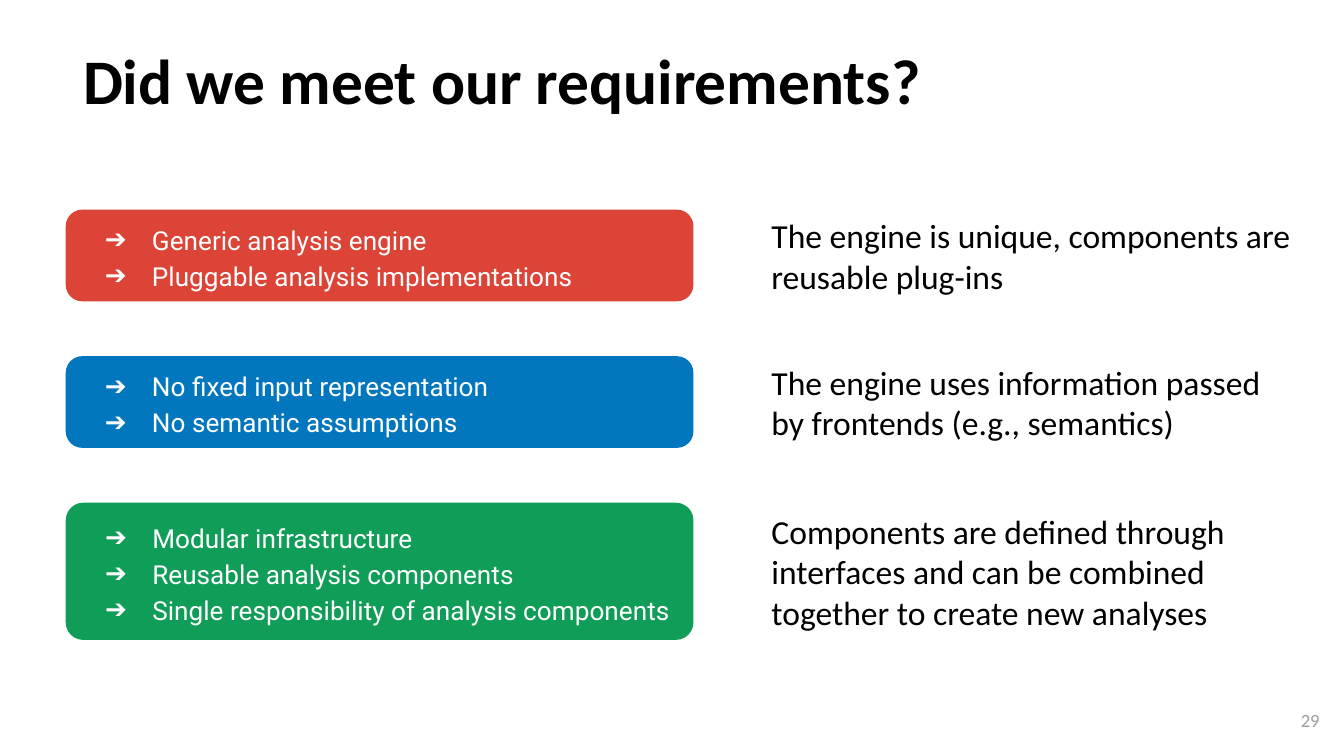
from dataclasses import dataclass

import pptx
import pptx.dml.color
import pptx.enum.shapes
import pptx.enum.text
import pptx.oxml
import pptx.oxml.ns
import pptx.util
from pptx.util import Cm, Pt

ALIGN = pptx.enum.text.PP_ALIGN
ANCHOR = pptx.enum.text.MSO_ANCHOR


@dataclass(frozen=True)
class Theme:
    ink: str = "000000"
    paper: str = "FFFFFF"
    muted: str = "9E9E9E"
    red: str = "DB4437"
    blue: str = "0277BD"
    green: str = "0F9D58"
    body_font: str = "Calibri"
    card_font: str = "Roboto"
    title_size: int = 34
    answer_size: int = 18
    card_size: int = 14
    number_size: int = 10


def rgb(value):
    return pptx.dml.color.RGBColor.from_string(value)


def apply(target, values):
    for name, value in values.items():
        setattr(target, name, value)


class RequirementsSlide:
    def __init__(self, deck, theme):
        self.theme = theme
        self.slide = deck.slides.add_slide(deck.slide_layouts[5])

    def fill_text(self, shape, lines, size, color, font, bold=False,
                  align=ALIGN.LEFT, anchor=ANCHOR.MIDDLE, inset=0.25, bulleted=False):
        frame = shape.text_frame
        apply(frame, {
            "word_wrap": True,
            "auto_size": pptx.enum.text.MSO_AUTO_SIZE.NONE,
            "vertical_anchor": anchor,
            "margin_left": Cm(0.25),
            "margin_right": Cm(0.25),
            "margin_top": Cm(inset),
            "margin_bottom": Cm(inset),
        })
        for index, line in enumerate(lines):
            paragraph = frame.paragraphs[0] if index == 0 else frame.add_paragraph()
            paragraph.alignment = align
            if bulleted:
                self.bullet(paragraph)
            run = paragraph.add_run()
            run.text = line
            apply(run.font, {"name": font, "size": Pt(size), "bold": bold})
            run.font.color.rgb = rgb(color)

    def bullet(self, paragraph):
        paragraph.line_spacing = 1.15
        properties = paragraph._p.get_or_add_pPr()
        properties.set("marL", str(Cm(1.27)))
        properties.set("indent", str(Cm(-0.89)))
        namespace = pptx.oxml.ns.nsdecls("a")
        for xml in (
            f'<a:buClr {namespace}><a:srgbClr val="{self.theme.paper}"/></a:buClr>',
            f'<a:buFont {namespace} typeface="{self.theme.card_font}"/>',
            f'<a:buChar {namespace} char="➔"/>',
        ):
            properties.append(pptx.oxml.parse_xml(xml))

    def title(self, text, left, top, width, height):
        heading = self.slide.shapes.title
        apply(heading, {"left": Cm(left), "top": Cm(top),
                        "width": Cm(width), "height": Cm(height)})
        self.fill_text(heading, [text], self.theme.title_size, self.theme.ink,
                       self.theme.body_font, bold=True, anchor=ANCHOR.BOTTOM)

    def text(self, text, box, size, color, align=ALIGN.LEFT):
        label = self.slide.shapes.add_textbox(*map(Cm, box))
        self.fill_text(label, [text], size, color, self.theme.body_font, align=align)

    def card(self, requirements, box, color):
        card = self.slide.shapes.add_shape(
            pptx.enum.shapes.MSO_SHAPE.ROUNDED_RECTANGLE, *map(Cm, box))
        card.adjustments[0] = 0.17 if box[3] < 2 else 0.12
        card.shadow.inherit = False
        card.fill.solid()
        card.fill.fore_color.rgb = rgb(color)
        card.line.color.rgb = rgb(color)
        card.line.width = Pt(1.5)
        self.fill_text(card, requirements, self.theme.card_size, self.theme.paper,
                       self.theme.card_font, inset=0.13, bulleted=True)


def main():
    theme = Theme()
    deck = pptx.Presentation()
    apply(deck, {"slide_width": Cm(25.4), "slide_height": Cm(14.29)})
    page = RequirementsSlide(deck, theme)
    page.title("Did we meet our requirements?", 1.32, 0.33, 22.83, 2.13)
    page.text("29", (23.67, 13.06, 1.52, 1.09), theme.number_size, theme.muted, ALIGN.RIGHT)

    findings = [
        (theme.red, 1.68,
         ["Generic analysis engine", "Pluggable analysis implementations"],
         "The engine is unique, components are reusable plug-ins"),
        (theme.blue, 1.68,
         ["No fixed input representation", "No semantic assumptions"],
         "The engine uses information passed by frontends (e.g., semantics)"),
        (theme.green, 2.54,
         ["Modular infrastructure", "Reusable analysis components",
          "Single responsibility of analysis components"],
         "Components are defined through interfaces and can be combined "
         "together to create new analyses"),
    ]
    first_top, row_pitch = 3.99, 2.77
    for row, (color, height, requirements, answer) in enumerate(findings):
        top = first_top + row * row_pitch
        page.card(requirements, (1.27, top, 11.81, height), color)
        page.text(answer, (14.33, top, 10.41, height), theme.answer_size, theme.ink)

    deck.save("out.pptx")


if __name__ == "__main__":
    main()
